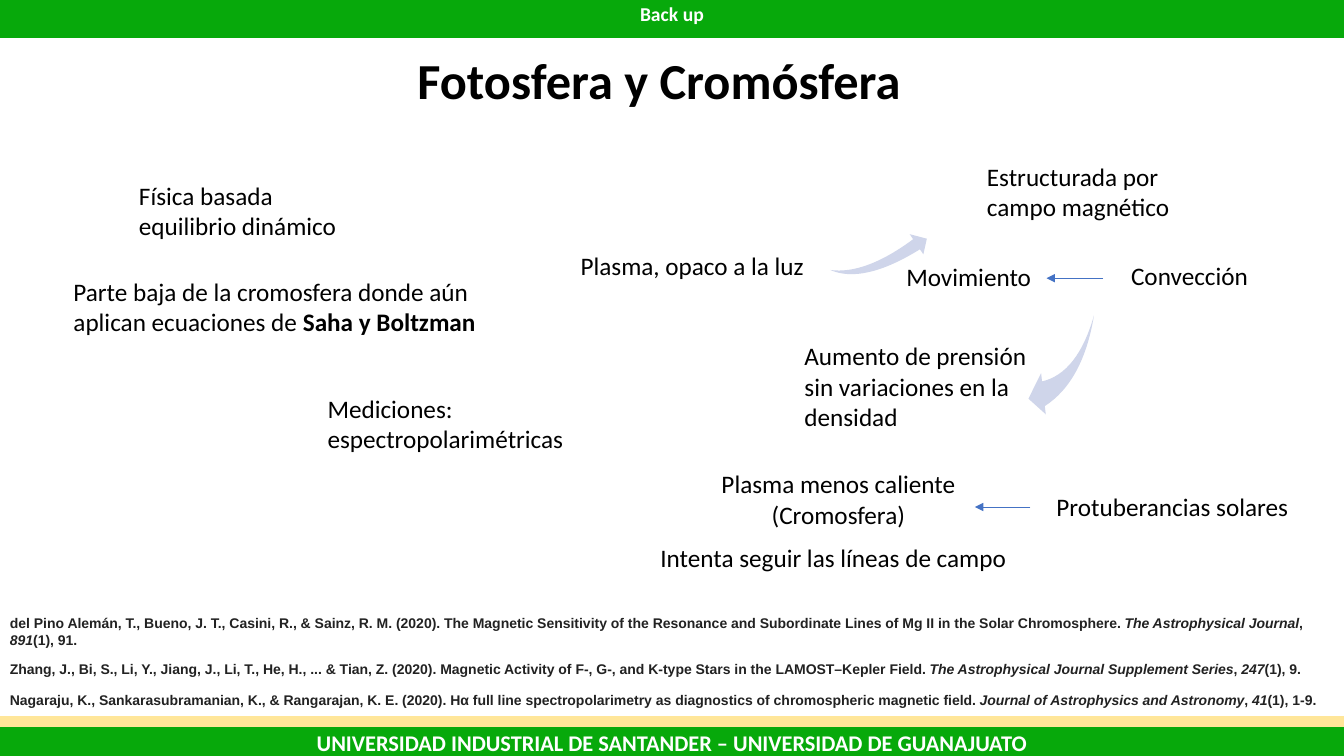
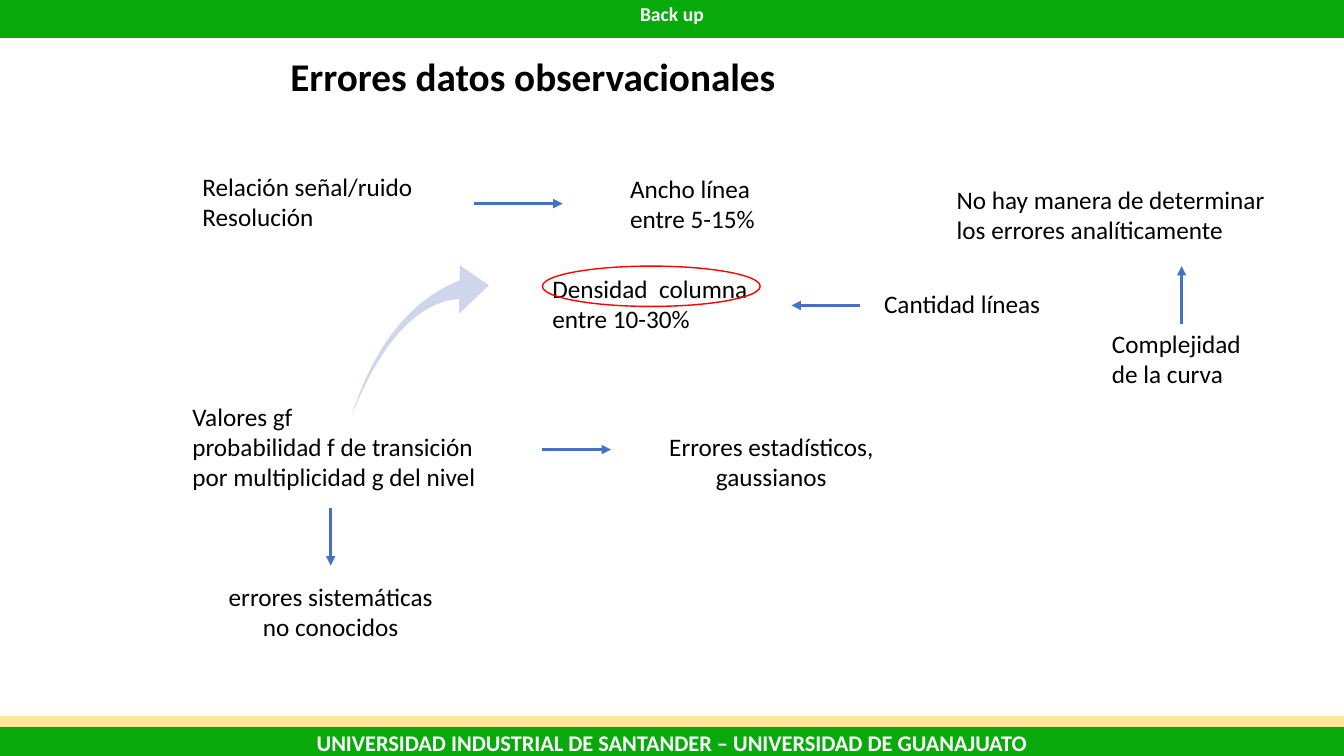
from lxml import etree
from pptx import Presentation
from pptx.dml.color import RGBColor
from pptx.enum.shapes import MSO_CONNECTOR, MSO_SHAPE
from pptx.enum.text import MSO_ANCHOR, MSO_AUTO_SIZE, PP_ALIGN
from pptx.oxml.ns import qn
from pptx.util import Inches, Pt

RECT, OVAL, SWOOSH = MSO_SHAPE.RECTANGLE, MSO_SHAPE.OVAL, MSO_SHAPE.SWOOSH_ARROW
STRAIGHT = MSO_CONNECTOR.STRAIGHT
LEFT, CENTER = PP_ALIGN.LEFT, PP_ALIGN.CENTER
MIDDLE, NO_FIT = MSO_ANCHOR.MIDDLE, MSO_AUTO_SIZE.NONE

COLORS = {
    "green": "07A90B", "sand": "FFE699", "white": "FFFFFF", "black": "000000",
    "citation": "222222", "arrow": "4472C4", "swoosh": "CFD5EA", "ring": "FF0000",
}
WIDTH, HEIGHT = 13.33, 7.5
TITLE_ONLY = 5


def rgb(name):
    return RGBColor.from_string(COLORS[name])


# Basic parts
def write(tf, paragraphs, size=18, color="black", font="Calibri", bold=False,
          align=LEFT, wrap=True):
    """Each paragraph is a string or a list of (text, style) runs; style is "", "b" or "i"."""
    tf.word_wrap = wrap
    tf.auto_size = NO_FIT
    for i, runs in enumerate(paragraphs):
        p = tf.add_paragraph() if i else tf.paragraphs[0]
        p.alignment = align
        for text, style in [(runs, "")] if isinstance(runs, str) else runs:
            r = p.add_run()
            r.text = text
            r.font.name, r.font.size = font, Pt(size)
            r.font.bold = bold or style == "b"
            r.font.italic = style == "i"
            r.font.color.rgb = rgb(color)


def add_text(slide, x, y, w, h, paragraphs, **style):
    sp = slide.shapes.add_textbox(Inches(x), Inches(y), Inches(w), Inches(h))
    write(sp.text_frame, paragraphs, **style)
    return sp


def add_label(slide, x, y, w, lines, paragraphs, **style):
    return add_text(slide, x, y, w, 0.1 + 0.3 * lines, paragraphs, **style)


def add_shape(slide, kind, x, y, w, h, fill=None, line=None):
    sp = slide.shapes.add_shape(kind, Inches(x), Inches(y), Inches(w), Inches(h))
    sp.shadow.inherit = False
    if fill:
        sp.fill.solid()
        sp.fill.fore_color.rgb = rgb(fill)
    else:
        sp.fill.background()
    if line:
        sp.line.color.rgb = rgb(line)
        sp.line.width = Pt(1)
    else:
        sp.line.fill.background()
    return sp


def add_swoosh(slide, x, y, w, h, rotation, thickness=0.25, flip=False):
    sp = add_shape(slide, SWOOSH, x, y, w, h, fill="swoosh")
    sp.adjustments[0], sp.adjustments[1] = thickness, 0.25
    sp.rotation = rotation
    if flip:
        sp._element.spPr.get_or_add_xfrm().set("flipV", "1")


def add_arrow(slide, x1, y1, x2, y2, width):
    line = slide.shapes.add_connector(
        STRAIGHT, Inches(x1), Inches(y1), Inches(x2), Inches(y2))
    line.line.color.rgb = rgb("arrow")
    line.line.width = Pt(width)
    etree.SubElement(line.line._get_or_add_ln(), qn("a:tailEnd"), type="triangle")
    etree.SubElement(line._element.spPr, qn("a:effectLst"))
    return line


# Shared frame
def add_header(slide, x, y, w):
    add_shape(slide, RECT, x, y, w, 0.39, "green", "green")
    add_text(slide, x, y - 0.01, w, 0.34, ["Back up"],
             size=14, color="white", bold=True, align=CENTER)


def add_footer(slide, x, y, w, h):
    add_shape(slide, RECT, x, y, w, h, "sand", "sand")
    add_shape(slide, RECT, x, y + 0.11, w, h - 0.11, "green", "green")
    add_text(slide, x + 1.11, y + 0.07, w - 2.22, 0.37,
             ["UNIVERSIDAD INDUSTRIAL DE SANTANDER – UNIVERSIDAD DE GUANAJUATO"],
             size=16, color="white", bold=True, align=CENTER)


def add_slide(prs, title, x, y, w, h, size):
    slide = prs.slides.add_slide(prs.slide_layouts[TITLE_ONLY])
    add_header(slide, 0, -0.02, WIDTH)
    add_footer(slide, 0, 7.11, WIDTH, 0.39)
    sp = slide.shapes.title
    sp.left, sp.top, sp.width, sp.height = (Inches(v) for v in (x, y, w, h))
    sp.text_frame.vertical_anchor = MIDDLE
    write(sp.text_frame, [title], size=size, bold=True, wrap=False)
    return slide


# Photosphere and chromosphere
def add_physics_notes(slide, x, y):
    add_label(slide, x + 0.65, y, 2.35, 2, ["Física basada equilibrio dinámico"])
    add_label(slide, x, y + 0.95, 4.22, 2, [[
        ("Parte baja de la cromosfera donde aún aplican ecuaciones de ", ""),
        ("Saha y Boltzman", "b")]])
    add_label(slide, x + 2.52, y + 2.11, 2.55, 2,
              ["Mediciones:", "espectropolarimétricas"])


def add_plasma_flow(slide, x, y):
    add_label(slide, x + 4.03, y, 2.35, 2, ["Estructurada por campo magnético"])
    add_label(slide, x, y + 0.88, 2.51, 1, ["Plasma, opaco a la luz"])
    add_swoosh(slide, x + 2.62, y + 0.77, 0.93, 0.48, 319.6, flip=True)
    add_label(slide, x + 3.23, y + 0.99, 2.61, 1, ["Movimiento"])
    add_label(slide, x + 5.46, y + 0.98, 1.4, 1, ["Convección"])
    add_arrow(slide, x + 5.28, y + 1.21, x + 4.72, y + 1.21, 0.5)
    add_swoosh(slide, x + 4.54, y + 1.58, 0.65, 0.98, 180)
    add_label(slide, x + 2.22, y + 1.78, 2.61, 3,
              ["Aumento de prensión sin variaciones en la densidad"])
    add_label(slide, x + 1.38, y + 3.05, 2.55, 2,
              ["Plasma menos caliente", "(Cromosfera)"], align=CENTER, wrap=False)
    add_arrow(slide, x + 4.56, y + 3.48, x + 4.01, y + 3.48, 0.5)
    add_label(slide, x + 4.72, y + 3.28, 2.52, 1, ["Protuberancias solares"], wrap=False)
    add_label(slide, x + 0.77, y + 3.78, 3.67, 1,
              ["Intenta seguir las líneas de campo"], align=CENTER, wrap=False)


def add_references(slide, x, y, w):
    references = [
        (0, 0.44, "del Pino Alemán, T., Bueno, J. T., Casini, R., & Sainz, R. M. (2020). "
         "The Magnetic Sensitivity of the Resonance and Subordinate Lines of Mg II "
         "in the Solar Chromosphere. ",
         "The Astrophysical Journal", "891", "(1), 91."),
        (0.45, 0.27, "Zhang, J., Bi, S., Li, Y., Jiang, J., Li, T., He, H., ... & Tian, Z. (2020). "
         "Magnetic Activity of F-, G-, and K-type Stars in the LAMOST–Kepler Field. ",
         "The Astrophysical Journal Supplement Series", "247", "(1), 9."),
        (0.76, 0.27, "Nagaraju, K., Sankarasubramanian, K., & Rangarajan, K. E. (2020). "
         "Hα full line spectropolarimetry as diagnostics of chromospheric magnetic field. ",
         "Journal of Astrophysics and Astronomy", "41", "(1), 1-9."),
    ]
    for dy, h, article, journal, volume, pages in references:
        runs = [(article, ""), (journal, "i"), (", ", ""), (volume, "i"), (pages, "")]
        add_text(slide, x, y + dy, w, h, [runs],
                 size=10, color="citation", font="Arial", bold=True)


# Errors in the observed data
def add_error_map(slide, x, y):
    # Signal and line width
    add_label(slide, x + 0.1, y, 2.31, 2, ["Relación señal/ruido", "Resolución"], wrap=False)
    add_arrow(slide, x + 2.89, y + 0.37, x + 3.77, y + 0.37, 2.25)
    add_label(slide, x + 4.34, y + 0.02, 1.45, 2, ["Ancho línea", "entre 5-15%"], wrap=False)

    # Column density
    add_label(slide, x + 3.57, y + 1.01, 2.16, 2,
              ["Densidad  columna", "entre 10-30%"], wrap=False)
    add_shape(slide, OVAL, x + 3.57, y + 0.99, 2.16, 0.4, line="ring")
    add_arrow(slide, x + 6.72, y + 1.38, x + 6.04, y + 1.38, 2.25)
    add_label(slide, x + 6.86, y + 1.16, 1.77, 1, ["Cantidad líneas"], wrap=False)

    # Curve complexity
    add_label(slide, x + 7.58, y + 0.13, 3.32, 2,
              ["No hay manera de determinar los errores analíticamente"])
    curve = add_label(slide, x + 9.12, y + 1.56, 1.58, 2, ["Complejidad de la curva"])
    add_arrow(slide, x + 9.91, y + 1.56, x + 9.91, y + 0.99, 2.25).begin_connect(curve, 0)

    # Transition values
    add_label(slide, x, y + 2.28, 3.33, 3,
              ["Valores gf", "probabilidad f de transición por multiplicidad g del nivel"])
    add_swoosh(slide, x + 1.78, y + 0.94, 1.18, 1.61, 7.5, thickness=0.113)
    add_arrow(slide, x + 3.57, y + 2.81, x + 4.25, y + 2.81, 2.25)
    add_label(slide, x + 4.69, y + 2.58, 2.3, 2,
              ["Errores estadísticos, gaussianos"], align=CENTER)
    add_arrow(slide, x + 1.47, y + 3.39, x + 1.47, y + 3.96, 2.25)
    add_label(slide, x + 0.3, y + 4.07, 2.34, 2,
              ["errores sistemáticas no conocidos"], align=CENTER)


def main():
    prs = Presentation()
    prs.slide_width, prs.slide_height = Inches(WIDTH), Inches(HEIGHT)

    slide = add_slide(prs, "Fotosfera y Cromósfera", 4.04, 0.43, 5.04, 0.71, 36)
    add_physics_notes(slide, 0.63, 1.74)
    add_plasma_flow(slide, 5.66, 1.55)
    add_references(slide, 0, 6.05, WIDTH)

    slide = add_slide(prs, "Errores datos observacionales", 2.78, 0.47, 5.07, 0.57, 28)
    add_error_map(slide, 1.81, 1.65)

    prs.save("out.pptx")


if __name__ == "__main__":
    main()
